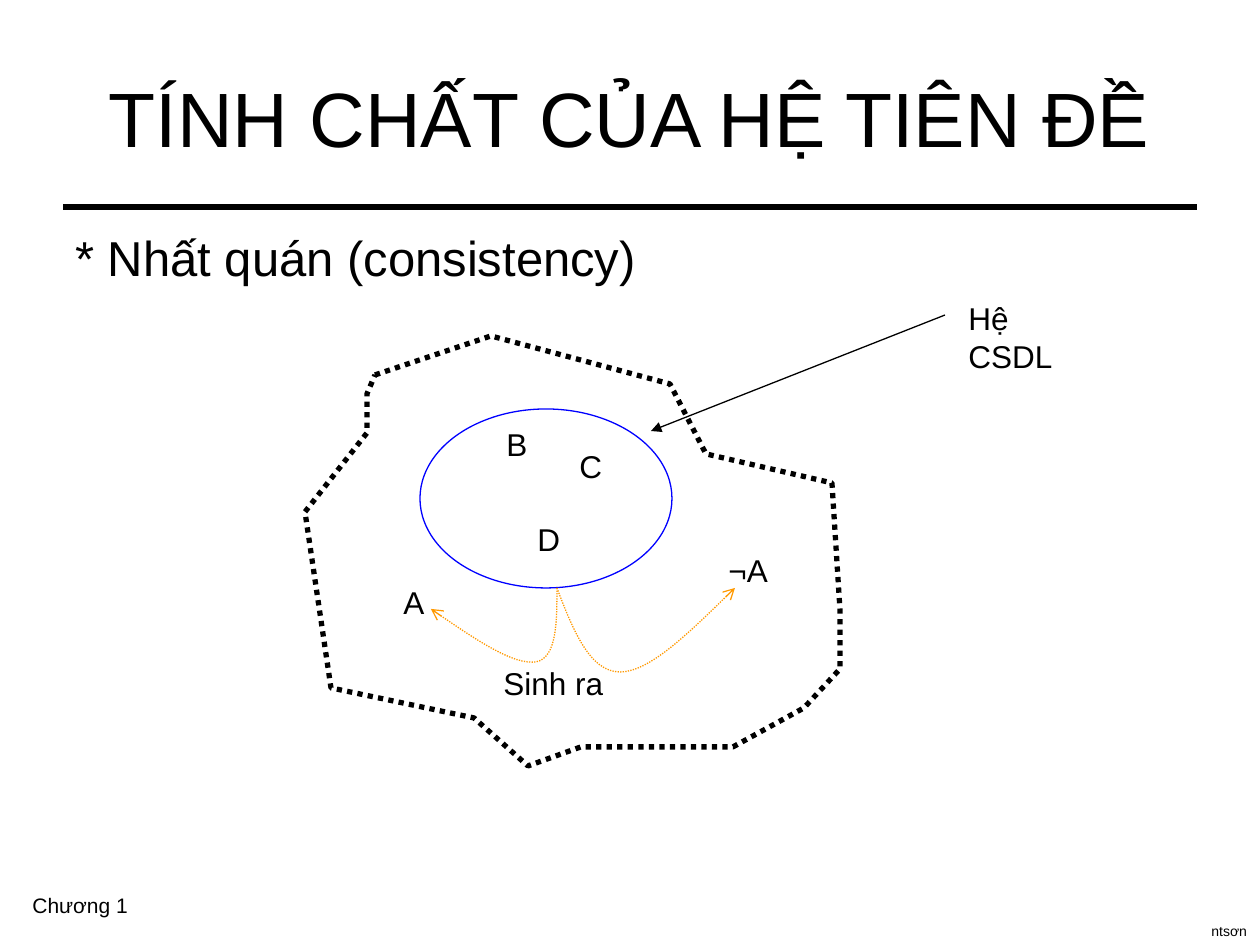
from lxml import etree
from pptx import Presentation
from pptx.dml.color import RGBColor
from pptx.enum.dml import MSO_LINE
from pptx.enum.shapes import MSO_CONNECTOR, MSO_SHAPE
from pptx.enum.text import MSO_ANCHOR, PP_ALIGN
from pptx.oxml.ns import qn
from pptx.util import Pt

STRAIGHT = MSO_CONNECTOR.STRAIGHT
ELLIPSE = MSO_SHAPE.OVAL
DOTTED = MSO_LINE.ROUND_DOT
TOP, MIDDLE = MSO_ANCHOR.TOP, MSO_ANCHOR.MIDDLE
LEFT, CENTER = PP_ALIGN.LEFT, PP_ALIGN.CENTER

EMU_PER_PX = 914400 / 126
FONT = "Arial"
COLORS = {"ink": "000000", "core": "0000FF", "derive": "FF9900"}

# Content: text, (left, top, width, height) in px, size in points
TITLE = ("TÍNH CHẤT CỦA HỆ TIÊN ĐỀ", (63, 38, 1134, 157), 44)
PROPERTY = ("* Nhất quán (consistency)", (63, 221, 1134, 624), 28)
FOOTERS = [
    ("ntsơn", (1199, 916, 61, 30), 8),
    ("Chương 1", (20, 886, 121, 38), 12),
]
LABEL_SIZE, LABEL_HEIGHT = 18, 50
LABELS = [  # text, left, top, width
    ("A", 391, 577, 45),
    ("¬A", 716, 545, 67),
    ("B", 494, 419, 45),
    ("D", 525, 514, 48),
    ("C", 567, 441, 48),
    ("Hệ CSDL", 956, 293, 157),
    ("Sinh ra", 491, 658, 125),
]
TITLE_RULE = ((63, 207), (1197, 207))
DATABASE_POINTER = ((945, 315), (651, 431))
AXIOM_CORE = (420, 409, 252, 179)
DATABASE_OUTLINE = [
    (375, 375), (491, 336), (670, 384), (706, 454), (832, 483), (840, 610),
    (840, 669), (804, 708), (733, 747), (679, 747), (581, 747), (528, 766),
    (474, 718), (331, 688), (305, 512), (367, 433), (367, 394),
]
# Start point, then three Bézier points per segment
DERIVATIONS = [
    [(557, 588), (557, 622), (557, 658), (536, 662),
     (514, 665), (473, 638), (431, 609)],
    [(557, 588), (573, 630), (590, 672), (620, 672),
     (649, 672), (692, 630), (735, 588)],
]


def px(*values):
    return [round(v * EMU_PER_PX) for v in values]


def add_text(slide, text, box, size, align=LEFT, anchor=TOP, wrap=False):
    frame = slide.shapes.add_textbox(*px(*box)).text_frame
    frame.word_wrap = wrap
    frame.vertical_anchor = anchor
    frame.text = text
    paragraph = frame.paragraphs[0]
    paragraph.alignment = align
    font = paragraph.runs[0].font
    font.name, font.size = FONT, Pt(size)
    font.color.rgb = RGBColor.from_string(COLORS["ink"])


def style_line(part, color, width, dash=None, arrow=None):
    line = part.line
    line.color.rgb = RGBColor.from_string(COLORS[color])
    line.width = Pt(width)
    if dash:
        line.dash_style = dash
    if arrow:
        ln = part._element.spPr.find(qn("a:ln"))
        etree.SubElement(ln, qn("a:tailEnd"), type=arrow)


def add_line(slide, ends, width, arrow=None):
    connector = slide.shapes.add_connector(STRAIGHT, *px(*ends[0], *ends[1]))
    style_line(connector, "ink", width, arrow=arrow)
    etree.SubElement(connector._element.spPr, qn("a:effectLst"))


def make_hollow(shape):
    shape.shadow.inherit = False
    shape.fill.background()


def add_outline(slide, points, close):
    builder = slide.shapes.build_freeform(*points[0], scale=EMU_PER_PX)
    builder.add_line_segments(points[1:], close=close)
    shape = builder.convert_to_shape()
    make_hollow(shape)
    return shape


def bend(shape):
    """Turn every three straight segments into one cubic Bézier segment."""
    path = shape._element.spPr.find(".//" + qn("a:path"))
    segments = path.findall(qn("a:lnTo"))
    for start in range(0, len(segments), 3):
        curve = etree.SubElement(path, qn("a:cubicBezTo"))
        for segment in segments[start:start + 3]:
            curve.append(segment[0])
            path.remove(segment)


def main():
    prs = Presentation()
    prs.slide_width, prs.slide_height = px(1260, 945)
    slide = prs.slides.add_slide(prs.slide_layouts[6])

    # Footers and title rule
    for footer in FOOTERS:
        add_text(slide, *footer)
    add_line(slide, TITLE_RULE, 3)

    # Axiom core
    core = slide.shapes.add_shape(ELLIPSE, *px(*AXIOM_CORE))
    make_hollow(core)
    style_line(core, "core", 0.75)

    # Headings
    add_text(slide, *TITLE, align=CENTER, anchor=MIDDLE, wrap=True)
    add_text(slide, *PROPERTY, wrap=True)

    # Database outline, its pointer and the derivation arrows
    outline = add_outline(slide, DATABASE_OUTLINE, close=True)
    style_line(outline, "ink", 3, DOTTED)
    add_line(slide, DATABASE_POINTER, 0.75, "triangle")
    for points in DERIVATIONS:
        derivation = add_outline(slide, points, close=False)
        bend(derivation)
        style_line(derivation, "derive", 0.75, DOTTED, "arrow")

    # Labels
    for text, left, top, width in LABELS:
        add_text(slide, text, (left, top, width, LABEL_HEIGHT), LABEL_SIZE)

    prs.save("out.pptx")


if __name__ == "__main__":
    main()
